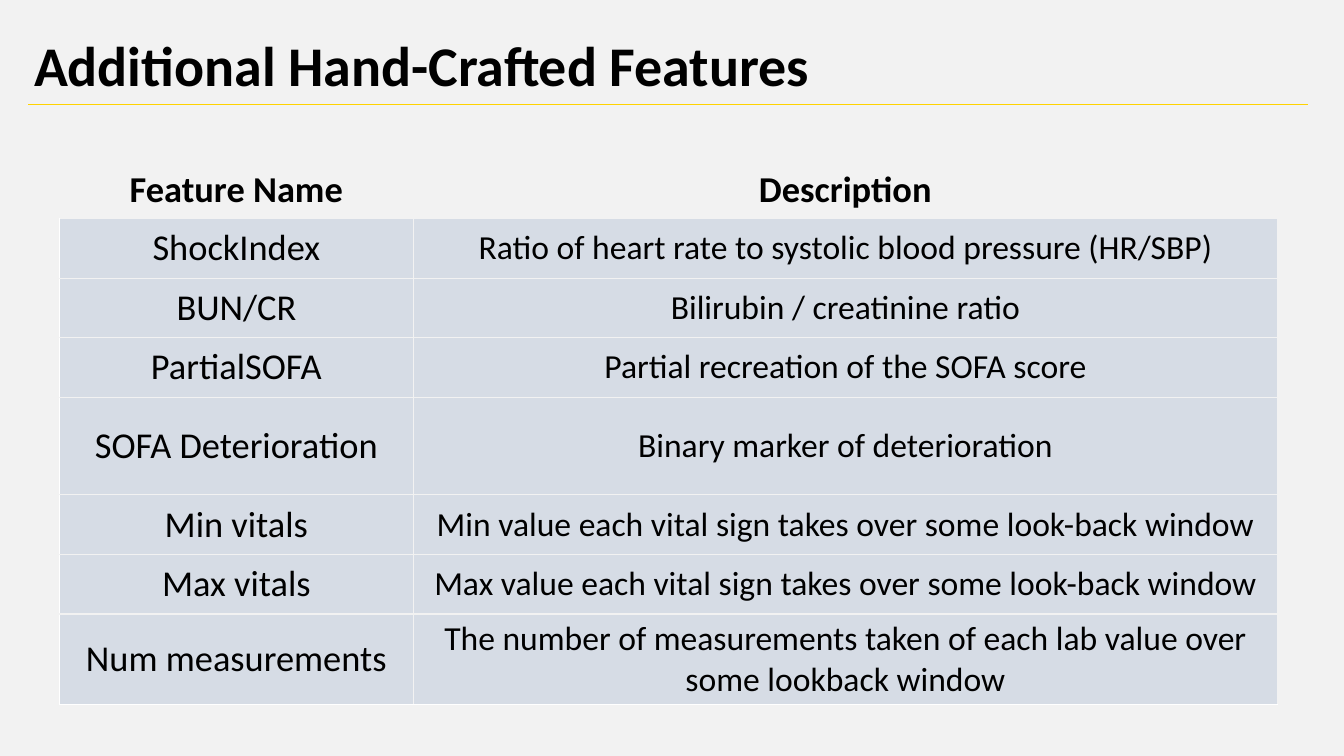
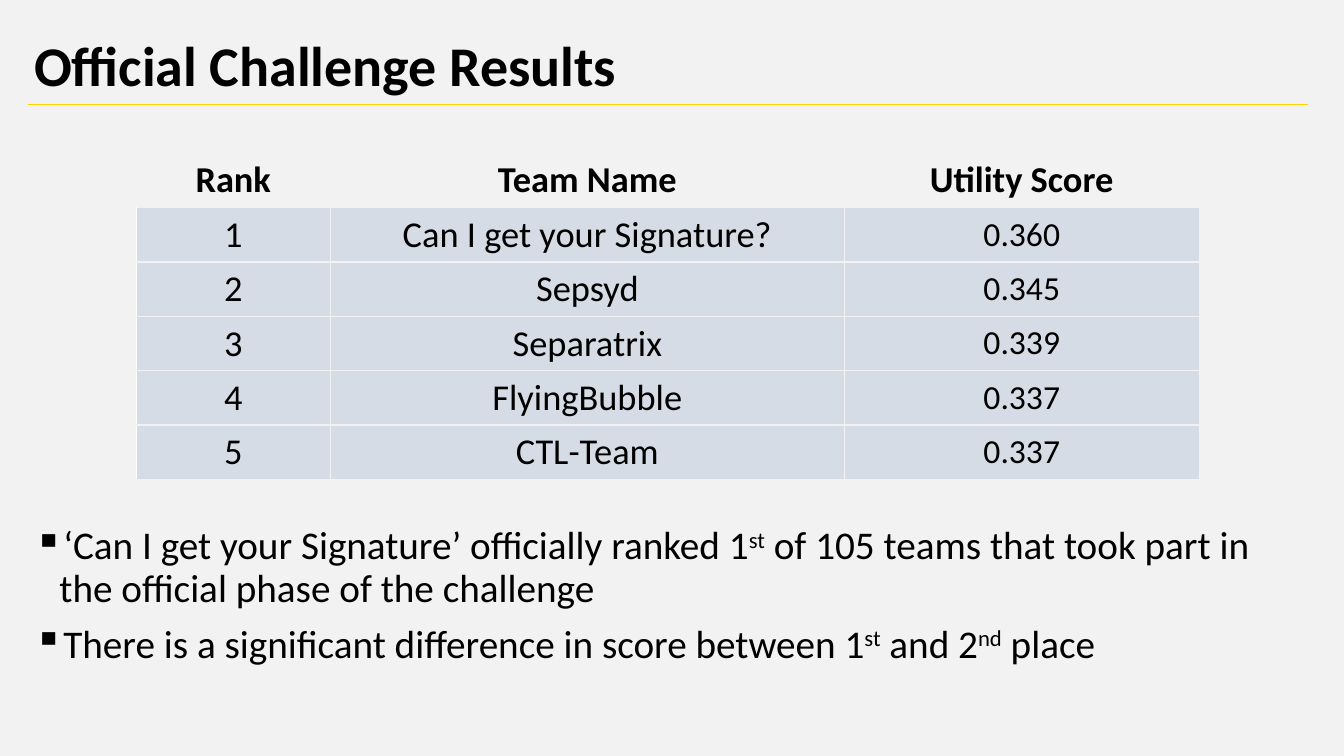
import lxml.etree
import pptx
import pptx.dml.color
import pptx.enum.shapes
import pptx.enum.text
import pptx.oxml.ns
import pptx.util

Cm = pptx.util.Cm
Pt = pptx.util.Pt
qn = pptx.oxml.ns.qn
MIDDLE = pptx.enum.text.MSO_ANCHOR.MIDDLE
CENTER = pptx.enum.text.PP_ALIGN.CENTER

COLORS = {
    "back": "F2F2F2",
    "rule": "FFD300",
    "text": "000000",
    "cell": "D6DCE5",
    "edge": "FFFFFF",
}
FONT = "Calibri"
LEFT, WIDTH = 0.61, 32.46


def color(name):
    return pptx.dml.color.RGBColor.from_string(COLORS[name])


class Deck:
    """Holds the shared style and the slide being filled."""

    def __init__(self):
        self.prs = pptx.Presentation()
        self.prs.slide_width = Cm(33.87)
        self.prs.slide_height = Cm(19.05)
        self.slide = None

    def start(self, title):
        """Add a slide with its background, rule and title."""
        self.slide = self.prs.slides.add_slide(self.prs.slide_layouts[6])
        fill = self.slide.background.fill
        fill.solid()
        fill.fore_color.rgb = color("back")
        self.rule(0.71, 32.97, 2.62)
        frame = self.box(0.46, 2.51)
        frame.vertical_anchor = MIDDLE
        par = frame.paragraphs[0]
        par.text = title
        self.space(par)
        self.style(par, 40, True)

    def rule(self, left, right, top):
        line = self.slide.shapes.add_connector(
            pptx.enum.shapes.MSO_CONNECTOR.STRAIGHT,
            Cm(left), Cm(top), Cm(right), Cm(top))
        line.line.color.rgb = color("rule")
        line.line.width = Pt(0.5)
        lxml.etree.SubElement(line._element.spPr, qn("a:effectLst"))

    def box(self, top, height):
        shape = self.slide.shapes.add_textbox(
            Cm(LEFT), Cm(top), Cm(WIDTH), Cm(height))
        shape.text_frame.word_wrap = True
        return shape.text_frame

    def style(self, par, size, bold=False):
        font = par.font
        font.name = FONT
        font.size = Pt(size)
        font.bold = bold
        font.color.rgb = color("text")

    def space(self, par):
        par.line_spacing = 0.9
        par.space_before = Pt(10)

    def bullets(self, top, height, items):
        """Add a list; text between ^ marks is superscript."""
        frame = self.box(top, height)
        for num, item in enumerate(items):
            par = frame.add_paragraph() if num else frame.paragraphs[0]
            props = par._p.get_or_add_pPr()
            props.set("marL", str(Cm(0.64)))
            props.set("indent", str(-Cm(0.64)))
            lxml.etree.SubElement(props, qn("a:buChar")).set("char", "▪")
            self.space(par)
            self.style(par, 28)
            for pos, part in enumerate(item.split("^")):
                run = par.add_run()
                run.text = part
                if pos % 2:
                    run._r.get_or_add_rPr().set("baseline", "30000")

    def border(self, cell, side, name=None):
        """Draw one side of a cell, or clear it when no colour is named."""
        line = lxml.etree.SubElement(
            cell._tc.get_or_add_tcPr(), qn("a:ln" + side))
        line.set("w", str(Pt(1)))
        if name:
            fill = lxml.etree.SubElement(line, qn("a:solidFill"))
            lxml.etree.SubElement(fill, qn("a:srgbClr")).set(
                "val", COLORS[name])
        else:
            lxml.etree.SubElement(line, qn("a:noFill"))

    def table(self, left, top, widths, heights, rows, base="back"):
        """Add a table with a clear header; base colours the bottom edge."""
        table = self.slide.shapes.add_table(
            len(rows), len(widths), Cm(left), Cm(top),
            Cm(sum(widths)), Cm(sum(heights))).table
        table.first_row = table.horz_banding = False
        for col, width in zip(table.columns, widths):
            col.width = Cm(width)
        for row, height in zip(table.rows, heights):
            row.height = Cm(height)
        for y, row in enumerate(rows):
            for x, text in enumerate(row):
                cell = table.cell(y, x)
                head, final = y == 0, y == len(rows) - 1
                edges = {"L": "back" if x else "edge", "R": "back",
                         "T": "back", "B": base if final else "back"}
                for side, name in edges.items():
                    self.border(cell, side, None if head else name)
                if head:
                    cell.fill.background()
                else:
                    cell.fill.solid()
                    cell.fill.fore_color.rgb = color("cell")
                cell.vertical_anchor = MIDDLE
                par = cell.text_frame.paragraphs[0]
                par.text = text
                par.alignment = CENTER
                small = not head and x == len(row) - 1
                self.style(par, 24 if small else 26, head)


def main():
    deck = Deck()

    deck.start("Additional Hand-Crafted Features")
    deck.table(
        1.5, 4.09, [8.92, 21.77],
        [1.42, 1.5, 1.5, 1.5, 2.46, 1.5, 1.5, 2.24],
        [
            ("Feature Name", "Description"),
            ("ShockIndex",
             "Ratio of heart rate to systolic blood pressure (HR/SBP)"),
            ("BUN/CR", "Bilirubin / creatinine ratio"),
            ("PartialSOFA", "Partial recreation of the SOFA score"),
            ("SOFA Deterioration", "Binary marker of deterioration"),
            ("Min vitals",
             "Min value each vital sign takes over some look-back window"),
            ("Max vitals",
             "Max value each vital sign takes over some look-back window"),
            ("Num measurements",
             "The number of measurements taken of each lab value "
             "over some lookback window"),
        ], base="edge")

    deck.start("Official Challenge Results")
    deck.table(
        3.43, 3.86, [4.9, 12.95, 8.94], [1.37] * 6,
        [
            ("Rank", "Team Name", "Utility Score"),
            ("1", "Can I get your Signature?", "0.360"),
            ("2", "Sepsyd", "0.345"),
            ("3", "Separatrix", "0.339"),
            ("4", "FlyingBubble", "0.337"),
            ("5", "CTL-Team", "0.337"),
        ])
    deck.bullets(13.13, 5.03, [
        "‘Can I get your Signature’ officially ranked 1^st^ of 105 teams "
        "that took part in the official phase of the challenge",
        "There is a significant difference in score between "
        "1^st^ and 2^nd^ place",
    ])

    deck.prs.save("out.pptx")


if __name__ == "__main__":
    main()
